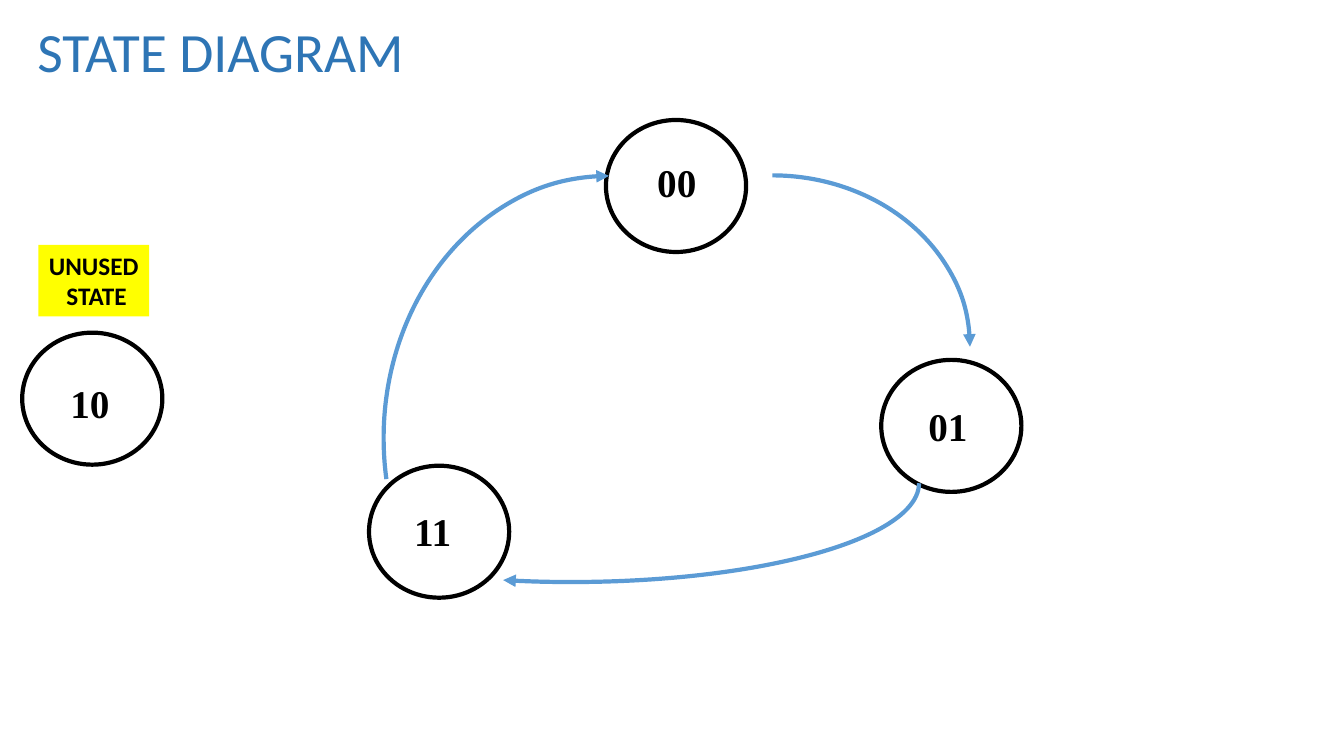
import dataclasses

import lxml.etree
import pptx
import pptx.dml.color
import pptx.enum.shapes
import pptx.enum.text
import pptx.oxml.ns
import pptx.util

SHAPE = pptx.enum.shapes.MSO_SHAPE
ALIGN = pptx.enum.text.PP_ALIGN
ANCHOR = pptx.enum.text.MSO_ANCHOR
SCALE = 9144


@dataclasses.dataclass
class Theme:
    title: str = "2E75B5"
    ink: str = "000000"
    arc: str = "5B9BD5"
    mark: str = "FFFF00"
    sans: str = "Calibri"
    serif: str = "Times New Roman"
    head: float = 39.6
    code: int = 28
    note: int = 18
    line: int = 3


def px(num):
    return pptx.util.Emu(num * SCALE)


def color(code):
    return pptx.dml.color.RGBColor.from_string(code)


class Board:
    """Draws the parts of a state diagram on one slide."""

    def __init__(self, deck, theme):
        self.theme = theme
        self.slide = deck.slides.add_slide(deck.slide_layouts[5])

    def style(self, para, face, size, ink, bold):
        font = para.font
        font.name, font.size, font.bold = face, pptx.util.Pt(size), bold
        font.color.rgb = color(ink)

    def title(self, text, *box):
        item = self.slide.shapes.title
        item.left, item.top, item.width, item.height = map(px, box)
        frame = item.text_frame
        frame.text = text
        frame.vertical_anchor = ANCHOR.TOP
        frame.margin_top = px(2)
        para = frame.paragraphs[0]
        para.alignment = ALIGN.LEFT
        para.line_spacing = 0.9
        self.style(para, self.theme.sans, self.theme.head, self.theme.title, False)

    def outline(self, kind, ink, *box):
        item = self.slide.shapes.add_shape(kind, *map(px, box))
        item.shadow.inherit = False
        item.fill.background()
        item.line.color.rgb = color(ink)
        item.line.width = pptx.util.Pt(self.theme.line)
        return item

    def state(self, left, top):
        self.outline(SHAPE.OVAL, self.theme.ink, left, top, 139, 131)

    def label(self, text, left, top, width):
        item = self.slide.shapes.add_textbox(*map(px, (left, top, width, 57)))
        frame = item.text_frame
        frame.word_wrap = True
        frame.text = text
        self.style(frame.paragraphs[0], self.theme.serif, self.theme.code, self.theme.ink, True)

    def arrow(self, box, turn, start, end):
        item = self.outline(SHAPE.ARC, self.theme.arc, *box)
        item.rotation = turn
        item.adjustments[0] = start
        item.adjustments[1] = end
        line = item.line._get_or_add_ln()
        lxml.etree.SubElement(line, pptx.oxml.ns.qn("a:tailEnd"), type="triangle")

    def note(self, text, *box):
        item = self.slide.shapes.add_textbox(*map(px, box))
        item.fill.solid()
        item.fill.fore_color.rgb = color(self.theme.mark)
        frame = item.text_frame
        frame.word_wrap = False
        frame.text = text
        for para in frame.paragraphs:
            para.alignment = ALIGN.CENTER
            self.style(para, self.theme.sans, self.theme.note, self.theme.ink, True)


def main():
    deck = pptx.Presentation()
    deck.slide_width, deck.slide_height = px(1333), px(750)
    board = Board(deck, Theme())
    board.title("STATE DIAGRAM", 27, 22, 1150, 125)
    for spot in ((874, 357), (601, 119), (22, 330), (366, 462)):
        board.state(*spot)
    board.arrow((570, 174, 392, 340), 0, 162, 0)
    board.arrow((469, 135, 196, 689), 90, 162, 21.16)
    board.arrow((344, 211, 520, 447), 270, 155.72, 0)
    board.label("00", 642, 152, 74)
    board.label("10", 60, 371, 106)
    board.label("11", 401, 498, 97)
    board.label("01", 911, 394, 74)
    board.note("UNUSED\n STATE", 38, 243, 110, 71)
    deck.save("out.pptx")


if __name__ == "__main__":
    main()
